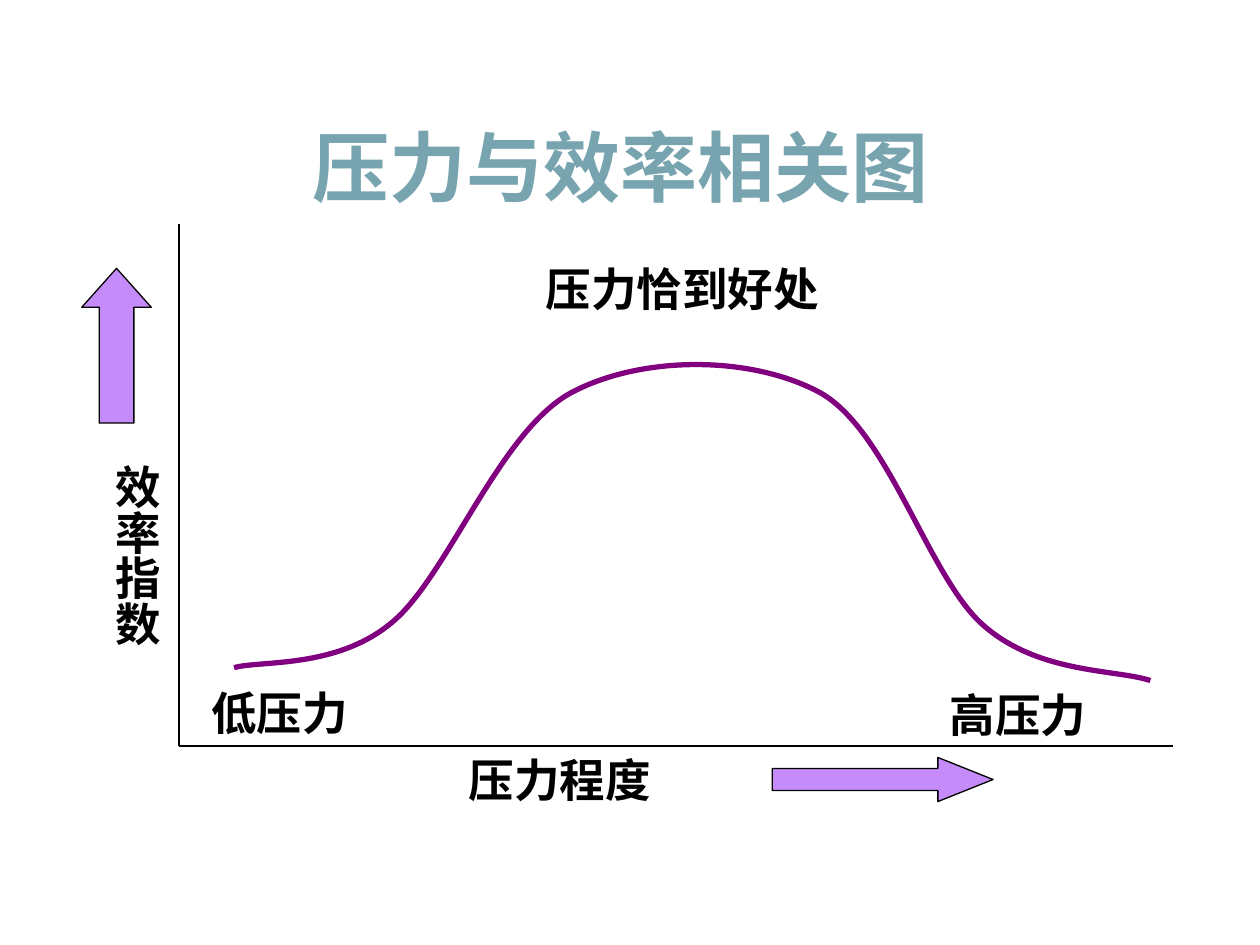
from lxml import etree
from pptx import Presentation
from pptx.dml.color import RGBColor
from pptx.enum.shapes import MSO_CONNECTOR, MSO_SHAPE
from pptx.enum.text import MSO_ANCHOR, PP_ALIGN
from pptx.oxml.ns import qn
from pptx.util import Cm, Pt

LINE = MSO_CONNECTOR.STRAIGHT
UP, RIGHT = MSO_SHAPE.UP_ARROW, MSO_SHAPE.RIGHT_ARROW
MIDDLE, TOP = MSO_ANCHOR.MIDDLE, MSO_ANCHOR.TOP
CENTER, LEFT = PP_ALIGN.CENTER, PP_ALIGN.LEFT

COLORS = {"title": "77A4AF", "ink": "000000", "arrow": "C58BF9", "curve": "800080"}


class Chart:
    """Style and current slide of the pressure diagram."""

    def __init__(self, slide):
        self.slide = slide
        self.shapes = slide.shapes

    def color(self, name):
        return RGBColor.from_string(COLORS[name])

    def stroke(self, line, name, width):
        line.color.rgb = self.color(name)
        line.width = Pt(width)

    def set_text(self, frame, text, size, font, color, align, anchor):
        frame.word_wrap = True
        frame.vertical_anchor = anchor
        par = frame.paragraphs[0]
        par.text = text
        par.alignment = align
        par.font.size = Pt(size)
        par.font.name = font
        par.font.bold = True
        par.font.color.rgb = self.color(color)

    def title(self, text, left, top, width, height):
        box = self.shapes.title
        box.left, box.top, box.width, box.height = map(Cm, (left, top, width, height))
        self.set_text(box.text_frame, text, 44, "Times New Roman", "title", CENTER, MIDDLE)

    def label(self, text, left, top, width, height, upright=False):
        box = self.shapes.add_textbox(*map(Cm, (left, top, width, height)))
        frame = box.text_frame
        side, end = (0.08, 0.15) if upright else (0.15, 0.08)
        frame.margin_left = frame.margin_right = Cm(side)
        frame.margin_top = frame.margin_bottom = Cm(end)
        align = CENTER if upright else LEFT
        self.set_text(frame, text, 26, "Arial", "ink", align, TOP)
        if upright:
            frame._txBody.bodyPr.set("vert", "eaVert")

    def axis(self, *ends):
        line = self.shapes.add_connector(LINE, *map(Cm, ends))
        self.stroke(line.line, "ink", 1.5)
        etree.SubElement(line._element.spPr, qn("a:effectLst"))

    def arrow(self, kind, left, top, width, height, head):
        shape = self.shapes.add_shape(kind, *map(Cm, (left, top, width, height)))
        shape.adjustments[1] = head
        shape.shadow.inherit = False
        shape.fill.solid()
        shape.fill.fore_color.rgb = self.color("arrow")
        self.stroke(shape.line, "ink", 0.75)

    def curve(self, points):
        """Draw Bezier arcs: a start, then two handles and an end for each arc."""
        start, *rest = [(Cm(x), Cm(y)) for x, y in points]
        build = self.shapes.build_freeform(*start)
        build.add_line_segments(rest, close=False)
        shape = build.convert_to_shape()
        shape.shadow.inherit = False
        shape.fill.background()
        self.stroke(shape.line, "curve", 3)
        # Merge each three straight steps into one cubic arc
        steps = list(shape._element.iter(qn("a:lnTo")))
        for i in range(0, len(steps), 3):
            arc = etree.Element(qn("a:cubicBezTo"))
            steps[i].addprevious(arc)
            for step in steps[i:i + 3]:
                arc.append(step[0])
                step.getparent().remove(step)


def main():
    deck = Presentation()
    deck.slide_width, deck.slide_height = Cm(25.4), Cm(19.05)
    chart = Chart(deck.slides.add_slide(deck.slide_layouts[5]))
    chart.title("压力与效率相关图 ", 1.27, 1.75, 22.86, 3.18)

    # Axes
    left, base = 3.61, 15.04
    chart.axis(left, 4.52, left, base)
    chart.axis(left, base, 23.65, base)

    # Efficiency curve
    chart.curve([
        (4.72, 13.46),
        (5.23, 13.31), (6.78, 13.49), (7.9, 12.55),
        (9.02, 11.63), (10.06, 8.71), (11.51, 7.92),
        (12.93, 7.16), (15.14, 7.16), (16.54, 7.92),
        (17.93, 8.71), (18.72, 11.66), (19.84, 12.62),
        (20.96, 13.59), (22.5, 13.49), (23.19, 13.72),
    ])

    # Axis names and directions
    chart.label("效率指数", 1.5, 9.22, 1.88, 5.99, upright=True)
    chart.label("压力程度", 9.3, 15.09, 5.51, 1.68)
    chart.arrow(UP, 1.65, 5.41, 1.4, 3.12, 0.56)
    chart.arrow(RIGHT, 15.57, 15.27, 4.45, 0.89, 1.25)

    # Pressure levels
    chart.label("低压力", 4.11, 13.74, 4.98, 1.32)
    chart.label("压力恰到好处", 10.85, 5.18, 7.09, 1.65)
    chart.label("高压力", 19, 13.77, 4.57, 1.5)

    deck.save("out.pptx")


if __name__ == "__main__":
    main()
